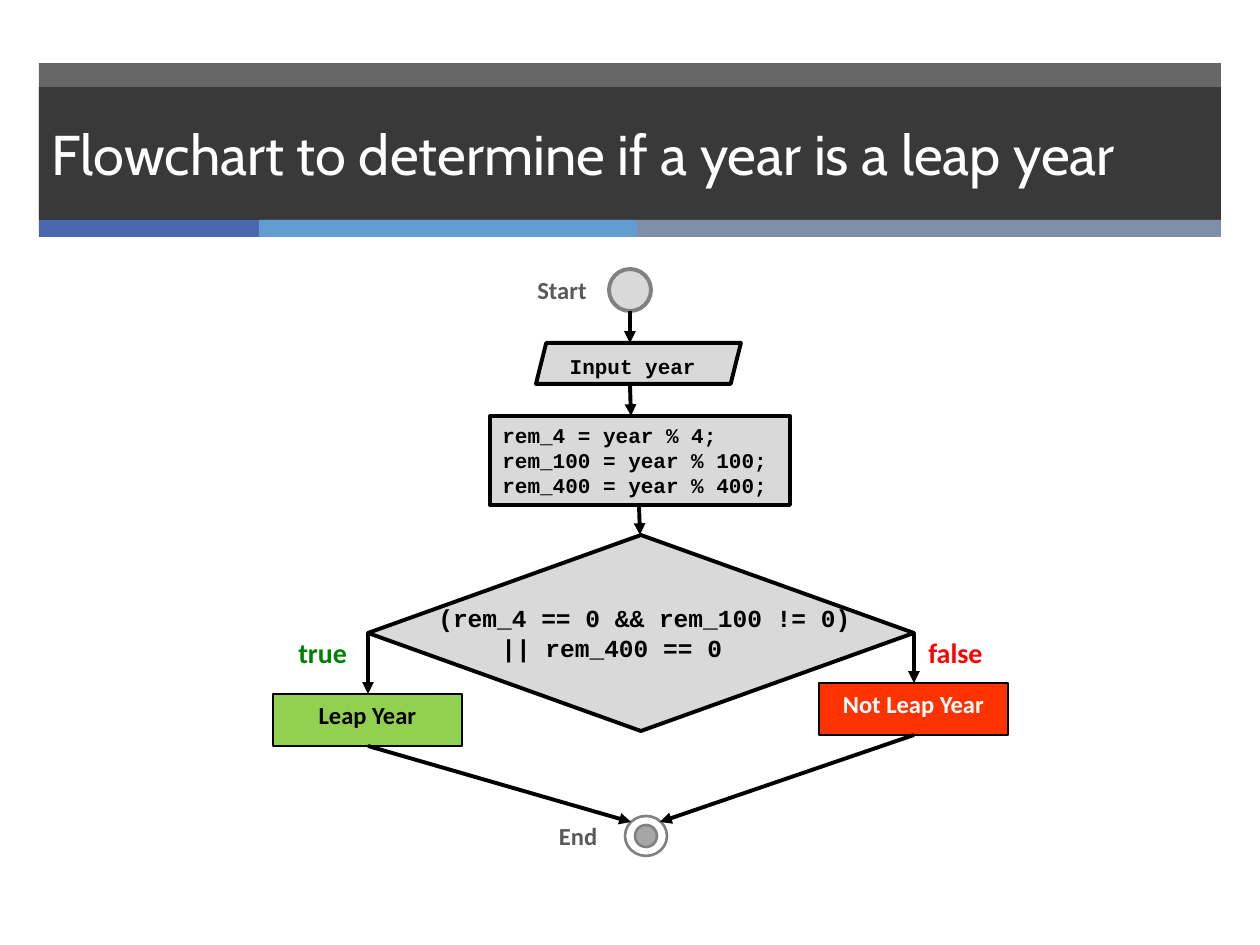
from pptx import Presentation
from pptx import util as u
from pptx.dml import color
from pptx.enum import shapes, text
from pptx.oxml import ns
from lxml import etree

PX = 914400 // 126
KIND = shapes.MSO_SHAPE
CODE = {"name": "Courier New", "size": u.Pt(12), "bold": True}
COND = {**CODE, "size": u.Pt(14)}
LABEL = {"name": "Calibri", "size": u.Pt(14), "bold": True}
BRANCH = {**LABEL, "size": u.Pt(16)}
HEAD = {"name": "Cabin", "size": u.Pt(32), "bold": False}
LEFT, MID = text.PP_ALIGN.LEFT, text.PP_ALIGN.CENTER
DARK, GREY, RIM, INK = "262626", "D9D9D9", "808080", "000000"


def px(*vals):
    """Turn pixel lengths into EMU."""
    return [u.Emu(val * PX) for val in vals]


def paint(fmt, hue):
    """Give a font, line or fill format a solid hex colour."""
    fill = getattr(fmt, "fill", fmt)
    fill.solid()
    fill.fore_color.rgb = color.RGBColor.from_string(hue)


def veil(shape):
    """Fill a shape with the dark tone at 70 percent opacity."""
    paint(shape.fill, DARK)
    tone = shape.fill._xPr.find(".//" + ns.qn("a:srgbClr"))
    etree.SubElement(tone, ns.qn("a:alpha")).set("val", "70000")


def write(shape, words, font, hue, align=LEFT, anchor=text.MSO_ANCHOR.TOP, wrap=True):
    """Set the text of a shape, one paragraph a line."""
    frame = shape.text_frame
    frame.word_wrap, frame.vertical_anchor = wrap, anchor
    frame.text = words
    for par in frame.paragraphs:
        par.alignment = align
        for run in par.runs:
            for key, val in font.items():
                setattr(run.font, key, val)
            paint(run.font, hue)


def node(slide, kind, box, fill, rim=None, width=2.25):
    """Add a preset shape with a plain fill and an optional outline."""
    shape = slide.shapes.add_shape(kind, *px(*box))
    shape.shadow.inherit = False
    paint(shape.fill, fill)
    if rim:
        paint(shape.line, rim)
        shape.line.width = u.Pt(width)
    else:
        shape.line.fill.background()
    return shape


def label(slide, box, words, font, hue, wrap=True):
    """Add a text box."""
    write(slide.shapes.add_textbox(*px(*box)), words, font, hue, wrap=wrap)


def arrow(slide, *ends):
    """Add a black line with an arrowhead at its end."""
    line = slide.shapes.add_connector(shapes.MSO_CONNECTOR.STRAIGHT, *px(*ends))
    paint(line.line, INK)
    line.line.width = u.Pt(2.25)
    etree.SubElement(line.line._get_or_add_ln(), ns.qn("a:tailEnd")).set("type", "triangle")
    etree.SubElement(line._element.spPr, ns.qn("a:effectLst"))


def banner(slide):
    """Build the title band and its coloured strip."""
    veil(node(slide, KIND.RECTANGLE, (39, 63, 1182, 156), DARK))
    left = 39
    for wide, hue in ((220, "4A66AC"), (378, "629DD1"), (584, "7F8FA9")):
        node(slide, KIND.RECTANGLE, (left, 219, wide, 18), hue)
        left += wide
    title = slide.shapes.title
    title.left, title.top, title.width, title.height = px(39, 87, 1182, 133)
    veil(title)
    write(title, "Flowchart to determine if a year is a leap year", HEAD, "FFFFFF",
          anchor=text.MSO_ANCHOR.MIDDLE)
    tree = title._element.getparent()
    tree.append(title._element)


def chart(slide):
    """Build the flowchart from start to end."""
    steps = node(slide, KIND.RECTANGLE, (490, 416, 300, 89), GREY, INK)
    write(steps, "rem_4 = year % 4;\nrem_100 = year % 100;\nrem_400 = year % 400;", CODE, INK)
    entry = node(slide, KIND.PARALLELOGRAM, (536, 343, 205, 41), GREY, INK)
    write(entry, "Input year", CODE, INK)
    node(slide, KIND.OVAL, (609, 269, 42, 42), GREY, RIM)
    node(slide, KIND.DIAMOND, (368, 535, 546, 196), GREY, INK)
    label(slide, (426, 597, 441, 72), "(rem_4 == 0 && rem_100 != 0) \t|| rem_400 == 0", COND, INK)
    for left, top, words, fill, hue in ((819, 683, "Not Leap Year", "FF3300", "FFFFFF"),
                                        (273, 694, "Leap Year", "92D050", INK)):
        result = node(slide, KIND.RECTANGLE, (left, top, 189, 52), fill, INK, 1.5)
        write(result, words, LABEL, hue, MID)
    node(slide, KIND.OVAL, (625, 816, 42, 40), "FFFFFF", RIM, 1.5)
    node(slide, KIND.OVAL, (635, 825, 22, 22), "A6A6A6", RIM, 1.5)
    for ends in ((630, 311, 630, 343), (630, 384, 631, 416), (639, 505, 640, 535),
                 (368, 633, 368, 694), (914, 633, 914, 683),
                 (368, 746, 631, 822), (914, 735, 660, 822)):
        arrow(slide, *ends)
    label(slide, (525, 269, 84, 42), "Start", LABEL, "595959")
    label(slide, (541, 815, 84, 42), " End", LABEL, "595959")
    label(slide, (286, 629, 74, 47), "true", BRANCH, "008000", False)
    label(slide, (916, 629, 81, 47), "false", BRANCH, "FF0000", False)


def main():
    """Build and save the slide."""
    deck = Presentation()
    deck.slide_width, deck.slide_height = px(1260, 945)
    slide = deck.slides.add_slide(deck.slide_layouts[5])
    banner(slide)
    chart(slide)
    deck.save("out.pptx")


if __name__ == "__main__":
    main()
